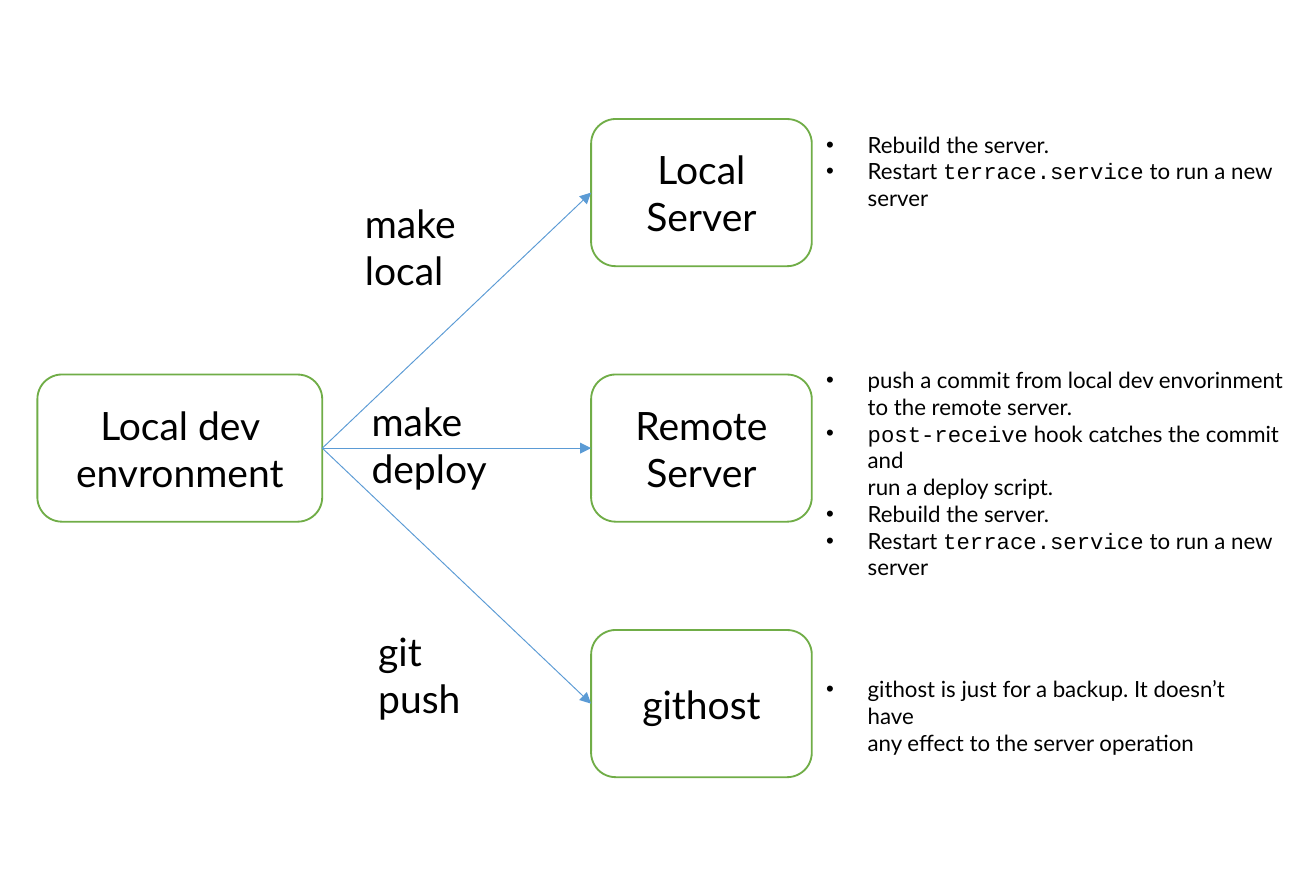
from copy import deepcopy
from dataclasses import dataclass

from lxml.etree import SubElement
from pptx import Presentation
from pptx.dml.color import RGBColor
from pptx.enum.shapes import MSO_CONNECTOR, MSO_SHAPE
from pptx.enum.text import MSO_ANCHOR, PP_ALIGN
from pptx.oxml.ns import qn
from pptx.util import Inches, Pt


@dataclass(frozen=True)
class Theme:
    text: RGBColor = RGBColor(0, 0, 0)
    box_fill: RGBColor = RGBColor(0xFF, 0xFF, 0xFF)
    box_line: RGBColor = RGBColor(0x70, 0xAD, 0x47)
    arrow: RGBColor = RGBColor(0x5B, 0x9B, 0xD5)
    font: str = "Lato"
    code_font: str = "Courier New"
    label_size: int = 21
    note_size: int = 12


SLIDE_WIDTH, SLIDE_HEIGHT = 9.84, 6.69
COLUMNS = {"source": 0.28, "target": 4.42, "notes": 6.08}
ROW_GAP, MIDDLE_ROW = 1.91, 3.35
BOX_HEIGHT = 1.1
LEFT_SITE, RIGHT_SITE = 1, 3


def row_center(row):
    return MIDDLE_ROW + (row - 1) * ROW_GAP


def write(paragraph, text, *, size, color, font, code_font=None):
    """Write text into a paragraph; parts between backticks use the code font."""
    for part_index, part in enumerate(text.split("`")):
        for line_index, line in enumerate(part.split("\n")):
            if line_index:
                paragraph.add_line_break()
                line_break = paragraph._p.findall(qn("a:br"))[-1]
                line_break.append(deepcopy(run.font._element))
            if not line:
                continue
            run = paragraph.add_run()
            run.text = line
            run.font.size = Pt(size)
            run.font.color.rgb = color
            run.font.name = code_font if part_index % 2 else font


class Diagram:
    def __init__(self, slide, theme):
        self.slide = slide
        self.theme = theme

    def fill_text(self, frame, paragraphs, *, size, align=PP_ALIGN.LEFT, bullet=False):
        frame.word_wrap = True
        for index, text in enumerate(paragraphs):
            paragraph = frame.add_paragraph() if index else frame.paragraphs[0]
            paragraph.alignment = align
            if bullet:
                properties = paragraph._p.get_or_add_pPr()
                properties.set("marL", str(Inches(0.31)))
                properties.set("indent", str(-Inches(0.31)))
                SubElement(properties, qn("a:buFont"), typeface="Arial")
                SubElement(properties, qn("a:buChar"), char="•")
            write(paragraph, text, size=size, color=self.theme.text,
                  font=self.theme.font, code_font=self.theme.code_font)

    def box(self, column, row, width, paragraphs):
        shape = self.slide.shapes.add_shape(
            MSO_SHAPE.ROUNDED_RECTANGLE, Inches(COLUMNS[column]),
            Inches(row_center(row) - BOX_HEIGHT / 2), Inches(width), Inches(BOX_HEIGHT))
        shape.shadow.inherit = False
        shape.fill.solid()
        shape.fill.fore_color.rgb = self.theme.box_fill
        shape.line.color.rgb = self.theme.box_line
        shape.line.width = Pt(1)
        shape.text_frame.vertical_anchor = MSO_ANCHOR.MIDDLE
        self.fill_text(shape.text_frame, paragraphs,
                       size=self.theme.label_size, align=PP_ALIGN.CENTER)
        return shape

    def arrow(self, start, end):
        connector = self.slide.shapes.add_connector(MSO_CONNECTOR.STRAIGHT, 0, 0, 0, 0)
        connector.begin_connect(start, RIGHT_SITE)
        connector.end_connect(end, LEFT_SITE)
        connector.line.color.rgb = self.theme.arrow
        connector.line.width = Pt(0.5)
        SubElement(connector.line._get_or_add_ln(), qn("a:tailEnd"), type="triangle")
        SubElement(connector._element.spPr, qn("a:effectLst"))

    def text(self, left, top, width, height, paragraphs, *, size, bullet=False):
        shape = self.slide.shapes.add_textbox(
            Inches(left), Inches(top), Inches(width), Inches(height))
        self.fill_text(shape.text_frame, paragraphs, size=size, bullet=bullet)


def main():
    presentation = Presentation()
    presentation.slide_width = Inches(SLIDE_WIDTH)
    presentation.slide_height = Inches(SLIDE_HEIGHT)
    slide = presentation.slides.add_slide(presentation.slide_layouts[6])
    theme = Theme()
    diagram = Diagram(slide, theme)

    # Boxes and the arrows between them
    source = diagram.box("source", 1, 2.13, ["Local dev envronment"])
    targets = [["Local", "Server"], ["Remote", "Server"], ["githost"]]
    for row, name in enumerate(targets):
        diagram.arrow(source, diagram.box("target", row, 1.65, name))

    # Commands on the arrows
    commands = [
        ("make local", 2.63, 1.44, 1.48),
        ("make deploy", 2.68, 2.92, 1.75),
        ("git push", 2.73, 4.64, 1.0),
    ]
    for command, left, top, width in commands:
        diagram.text(left, top, width, 0.8, [command], size=theme.label_size)

    # Notes beside the targets
    rebuild = ["Rebuild the server.", "Restart `terrace.service` to run a new server"]
    deploy = [
        "push a commit from local dev envorinment\nto the remote server.",
        "`post-receive` hook catches the commit and\nrun a deploy script.",
    ]
    backup = ["githost is just for a backup. It doesn’t have\n"
              "any effect to the server operation"]
    full_width = SLIDE_WIDTH - COLUMNS["notes"]
    notes = [
        (0.93, full_width, 0.7, rebuild),
        (2.69, full_width, 1.7, deploy + rebuild),
        (5.0, 3.4, 0.7, backup),
    ]
    for top, width, height, paragraphs in notes:
        diagram.text(COLUMNS["notes"], top, width, height, paragraphs,
                     size=theme.note_size, bullet=True)

    presentation.save("out.pptx")


if __name__ == "__main__":
    main()
